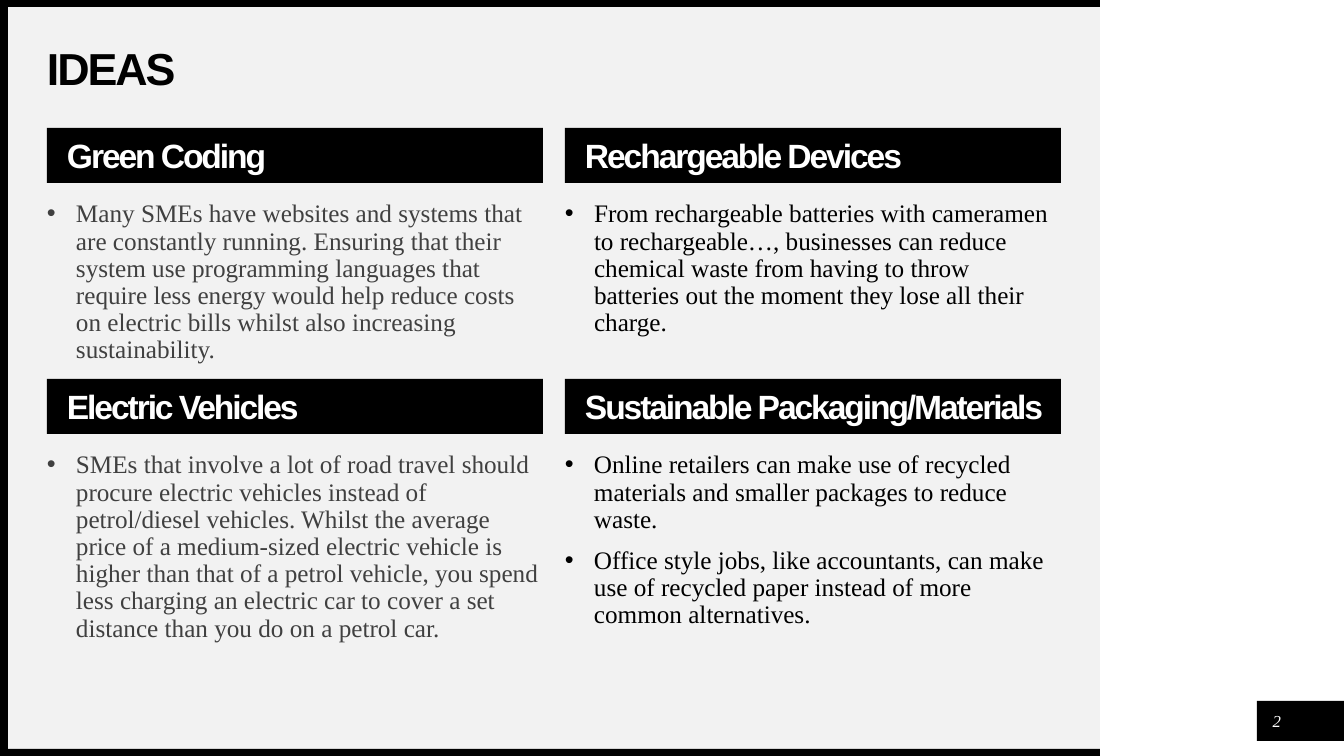
from lxml.etree import SubElement
from pptx import Presentation
from pptx.dml.color import RGBColor
from pptx.enum.shapes import MSO_SHAPE as Shape
from pptx.enum.text import MSO_ANCHOR as Anchor, MSO_AUTO_SIZE as AutoSize, PP_ALIGN as Align
from pptx.oxml.ns import qn
from pptx.util import Pt

BLACK = RGBColor(0x00, 0x00, 0x00)
WHITE = RGBColor(0xFF, 0xFF, 0xFF)
PANEL = RGBColor(0xF2, 0xF2, 0xF2)
CHARCOAL = RGBColor(0x40, 0x40, 0x40)

EMU_PER_PX = 914400 / 100.8
COMPARISON_LAYOUT = 4

TITLE = {"name": "Arial", "size": Pt(32), "bold": True}
HEADING = {"name": "Arial", "size": Pt(24), "bold": True}
BODY = {"name": "Times New Roman", "size": Pt(18), "bold": False}
PAGE_NUMBER = {"name": "Times New Roman", "size": Pt(12), "italic": True}

TIGHT = {"line_spacing": 0.9, "alignment": Align.LEFT}
SPACED = {**TIGHT, "space_before": Pt(10)}

COLUMNS = ((47, CHARCOAL), (565, BLACK))
ROW_TOP, ROW_STEP = 128, 251
CARD_WIDTH, HEADING_HEIGHT = 496, 55
LIST_OFFSET, LIST_HEIGHT = 73, 196

IDEAS = [
    ("Green Coding", [
        "Many SMEs have websites and systems that are constantly running. Ensuring that "
        "their system use programming languages that require less energy would help reduce "
        "costs on electric bills whilst also increasing sustainability."]),
    ("Rechargeable Devices", [
        "From rechargeable batteries with cameramen to rechargeable…, businesses can reduce "
        "chemical waste from having to throw batteries out the moment they lose all their "
        "charge."]),
    ("Electric Vehicles", [
        "SMEs that involve a lot of road travel should procure electric vehicles instead of "
        "petrol/diesel vehicles. Whilst the average price of a medium-sized electric vehicle "
        "is higher than that of a petrol vehicle, you spend less charging an electric car to "
        "cover a set distance than you do on a petrol car."]),
    ("Sustainable Packaging/Materials", [
        "Online retailers can make use of recycled materials and smaller packages to reduce "
        "waste.",
        "Office style jobs, like accountants, can make use of recycled paper instead of more "
        "common alternatives."]),
]


def px(length):
    return round(length * EMU_PER_PX)


def apply(target, values):
    for attribute, value in values.items():
        setattr(target, attribute, value)


class IdeasSlide:
    def __init__(self, deck):
        self.slide = deck.slides.add_slide(deck.slide_layouts[COMPARISON_LAYOUT])
        self.shapes = self.slide.shapes
        self.title_holder, *self.card_holders = self.slide.placeholders

    def block(self, left, top, width, height, color):
        block = self.shapes.add_shape(Shape.RECTANGLE, *map(px, (left, top, width, height)))
        block.shadow.inherit = False
        block.fill.solid()
        block.fill.fore_color.rgb = color
        block.line.fill.background()

    def text_area(self, box, holder=None, anchor=Anchor.TOP, inset=(0, 0)):
        """Place a placeholder in front of the blocks, or add a text box."""
        left, top, width, height = map(px, box)
        if holder is None:
            holder = self.shapes.add_textbox(left, top, width, height)
        else:
            apply(holder, {"left": left, "top": top, "width": width, "height": height})
            self.shapes.element.append(holder.element)
        apply(holder.text_frame, {
            "word_wrap": True, "auto_size": AutoSize.NONE, "vertical_anchor": anchor,
            "margin_left": px(inset[0]), "margin_top": px(inset[1]),
            "margin_right": 0, "margin_bottom": 0})
        return holder

    def run(self, paragraph, text, style, color, tracking=0):
        """Add a run; tracking is in hundredths of a point."""
        run = paragraph.add_run()
        run.text = text
        apply(run.font, style)
        run.font.color.rgb = color
        if tracking:
            run.font._element.set("spc", str(tracking))

    def title(self, text, box):
        area = self.text_area(box, self.title_holder, Anchor.MIDDLE)
        paragraph = area.text_frame.paragraphs[0]
        apply(paragraph, TIGHT)
        self.run(paragraph, text, TITLE, BLACK, -150)

    def heading(self, text, box, holder):
        area = self.text_area(box, holder, Anchor.MIDDLE, (20, 4))
        area.fill.solid()
        area.fill.fore_color.rgb = BLACK
        paragraph = area.text_frame.paragraphs[0]
        apply(paragraph, SPACED)
        self.run(paragraph, text, HEADING, WHITE, -150)

    def bullets(self, points, box, holder, color):
        frame = self.text_area(box, holder).text_frame
        for index, point in enumerate(points):
            paragraph = frame.add_paragraph() if index else frame.paragraphs[0]
            apply(paragraph, SPACED)
            properties = paragraph._p.get_or_add_pPr()
            properties.set("marL", str(px(29)))
            properties.set("indent", str(px(-29)))
            SubElement(properties, qn("a:buFont")).set("typeface", "Arial")
            SubElement(properties, qn("a:buChar")).set("char", "•")
            self.run(paragraph, point, BODY, color)

    def card(self, index, heading, points):
        row, column = divmod(index, len(COLUMNS))
        left, color = COLUMNS[column]
        top = ROW_TOP + row * ROW_STEP
        holders = self.card_holders[2 * index:2 * index + 2] or (None, None)
        self.heading(heading, (left, top, CARD_WIDTH, HEADING_HEIGHT), holders[0])
        self.bullets(points, (left, top + LIST_OFFSET, CARD_WIDTH, LIST_HEIGHT),
                     holders[1], color)

    def page_number(self, number, box):
        paragraph = self.text_area(box, anchor=Anchor.MIDDLE).text_frame.paragraphs[0]
        paragraph.alignment = Align.CENTER
        self.run(paragraph, number, PAGE_NUMBER, WHITE)


def main():
    deck = Presentation()
    apply(deck, {"slide_width": px(1344), "slide_height": px(756)})
    ideas = IdeasSlide(deck)

    ideas.block(8, 7, 1092, 742, PANEL)
    ideas.block(1257, 701, 87, 40, BLACK)
    for top in (0, 749):
        ideas.block(0, top, 1100, 7, BLACK)
    ideas.block(0, 0, 8, 756, BLACK)

    ideas.title("IDEAS", (47, 47, 1014, 47))
    for index, (heading, points) in enumerate(IDEAS):
        ideas.card(index, heading, points)

    ideas.page_number("2", (1262, 706, 30, 30))
    deck.save("out.pptx")


if __name__ == "__main__":
    main()
